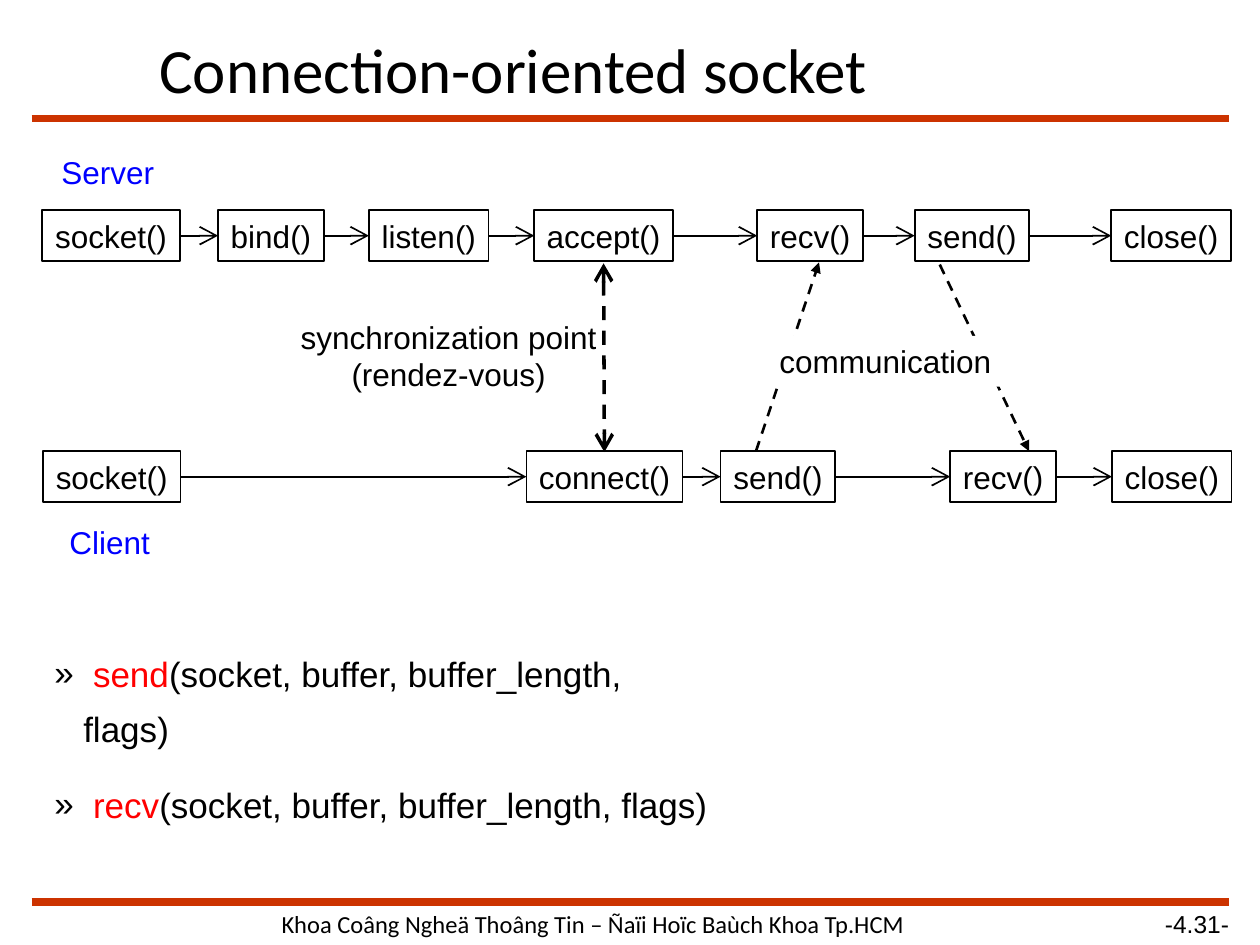
"""Build the slide on the call sequence of a connection-oriented socket."""
from lxml import etree
from pptx import Presentation
from pptx.dml.color import RGBColor
from pptx.enum import dml, shapes, text
from pptx.oxml.ns import qn
from pptx.util import Pt

COLORS = {"ink": "000000", "rule": "CC3300", "role": "0000FF", "call": "FF0000", "paper": "FFFFFF"}

RULES_Y = (67.7, 515.5)
BOX_WIDTHS = {"socket()": 78.5, "bind()": 60.5, "listen()": 68.4, "accept()": 79.2, "recv()": 60.5,
              "send()": 65.5, "close()": 68.4, "connect()": 89.3}
BOX_HEIGHT = 29
SEQUENCES = [
    (120.2, [("socket()", 24.2), ("bind()", 124.6), ("listen()", 210.8), ("accept()", 305.3),
             ("recv()", 432.7), ("send()", 522.7), ("close()", 635)]),
    (257.9, [("socket()", 24.6), ("connect()", 300.8), ("send()", 411.8), ("recv()", 543),
             ("close()", 635.4)]),
]
EXCHANGES = [
    ((344.9, 150.5), (345.4, 258.3), {"width": 2, "dash": True, "head": "arrow", "tail": "arrow"}),
    ((432, 257.8), (468, 150), {"width": 1.5, "dash": True, "tail": "triangle"}),
    ((537, 151.2), (588, 257.8), {"width": 1.5, "dash": True, "tail": "triangle"}),
]
HEAD_SIZES = {"arrow": "lg", "triangle": "med"}
CAPTIONS = [
    (["Connection-oriented socket"], (84, 6, 576, 66),
     {"size": 36, "font": "Calibri", "align": "LEFT", "anchor": "MIDDLE"}),
    (["Khoa Coâng Ngheä Thoâng Tin – Ñaïi Hoïc Baùch Khoa Tp.HCM"], (18, 516, 642, 24),
     {"size": 14, "font": "Calibri"}),
    (["-4.31-"], (660, 519.4, 48, 17), {"size": 14, "inset": (0, 0)}),
    (["Server"], (26.6, 84, 70, 29), {"color": "role"}),
    (["Client"], (31.2, 295.5, 63, 29), {"color": "role"}),
    (["synchronization point", "(rendez-vous)"], (163.4, 178, 186, 50.4), {}),
]
COMMUNICATION = (["communication"], (438.2, 192, 135.4, 29))
SIGNATURES = [("send", "(socket, buffer, buffer_length, flags)"),
              ("recv", "(socket, buffer, buffer_length, flags)")]
SIGNATURES_AT = (24, 362.2, 389.5, 82)
BULLET = {"char": "»", "indent": 16.5, "font": "Arial"}


def rgb(name):
    return RGBColor.from_string(COLORS[name])


def style(font, size=18, name="Arial", color="ink"):
    for attribute, value in {"size": Pt(size), "name": name}.items():
        setattr(font, attribute, value)
    font.color.rgb = rgb(color)


def format_frame(frame, wrap=False, inset=(7.2, 3.6), anchor="TOP"):
    across, down = (Pt(gap) for gap in inset)
    settings = {"word_wrap": wrap, "vertical_anchor": text.MSO_ANCHOR[anchor],
                "margin_left": across, "margin_right": across,
                "margin_top": down, "margin_bottom": down}
    for attribute, value in settings.items():
        setattr(frame, attribute, value)


def write(frame, lines, size=18, font="Arial", color="ink", align="CENTER", **layout):
    format_frame(frame, **layout)
    for index, line in enumerate(lines):
        paragraph = frame.add_paragraph() if index else frame.paragraphs[0]
        paragraph.alignment = text.PP_ALIGN[align]
        run = paragraph.add_run()
        run.text = line
        style(run.font, size, font, color)


def add_caption(slide, lines, place, look):
    write(slide.shapes.add_textbox(*map(Pt, place)).text_frame, lines, **look)


def add_box(slide, lines, place, outlined=True):
    box = slide.shapes.add_shape(shapes.MSO_SHAPE.RECTANGLE, *map(Pt, place))
    box.shadow.inherit = False
    if outlined:
        box.fill.background()
        box.line.color.rgb = rgb("ink")
        box.line.width = Pt(1)
    else:
        box.fill.solid()
        box.fill.fore_color.rgb = rgb("paper")
        box.line.fill.background()
    write(box.text_frame, lines)


def add_line(slide, start, end, width=1, color="ink", dash=False, head=None, tail=None):
    line = slide.shapes.add_connector(shapes.MSO_CONNECTOR.STRAIGHT, *map(Pt, start + end))
    line.line.color.rgb = rgb(color)
    line.line.width = Pt(width)
    if dash:
        line.line.dash_style = dml.MSO_LINE.DASH
    for tag, kind in (("a:headEnd", head), ("a:tailEnd", tail)):
        if kind:
            size = HEAD_SIZES[kind]
            etree.SubElement(line.line._get_or_add_ln(), qn(tag), type=kind, w=size, len=size)
    etree.SubElement(line._element.spPr, qn("a:effectLst"))


def add_sequence(slide, top, calls):
    middle = top + BOX_HEIGHT / 2
    for label, left in calls:
        add_box(slide, [label], (left, top, BOX_WIDTHS[label], BOX_HEIGHT))
    for (label, left), (_, next_left) in zip(calls, calls[1:]):
        add_line(slide, (left + BOX_WIDTHS[label], middle), (next_left, middle), tail="arrow")


def add_signatures(slide):
    frame = slide.shapes.add_textbox(*map(Pt, SIGNATURES_AT)).text_frame
    format_frame(frame, wrap=True)
    for index, (call, arguments) in enumerate(SIGNATURES):
        paragraph = frame.add_paragraph() if index else frame.paragraphs[0]
        properties = paragraph._p.get_or_add_pPr()
        properties.set("marL", str(Pt(BULLET["indent"])))
        properties.set("indent", str(-Pt(BULLET["indent"])))
        bullet_color = etree.SubElement(properties, qn("a:buClr"))
        etree.SubElement(bullet_color, qn("a:srgbClr"), val=COLORS["ink"])
        etree.SubElement(properties, qn("a:buFont"), typeface=BULLET["font"])
        etree.SubElement(properties, qn("a:buChar"), char=BULLET["char"])
        for attribute, value in {"line_spacing": 1.3, "space_after": Pt(12.5)}.items():
            setattr(paragraph, attribute, value)
        for words, color in ((" ", "ink"), (call, "call"), (arguments, "ink")):
            run = paragraph.add_run()
            run.text = words
            style(run.font, 20, color=color)


def main():
    deck = Presentation()
    deck.slide_width, deck.slide_height = Pt(720), Pt(540)
    slide = deck.slides.add_slide(deck.slide_layouts[6])
    for y in RULES_Y:
        add_line(slide, (18, y), (702, y), width=4.5, color="rule")
    for caption in CAPTIONS:
        add_caption(slide, *caption)
    add_signatures(slide)
    for top, calls in SEQUENCES:
        add_sequence(slide, top, calls)
    for start, end, look in EXCHANGES:
        add_line(slide, start, end, **look)
    add_box(slide, *COMMUNICATION, outlined=False)
    deck.save("out.pptx")


if __name__ == "__main__":
    main()
